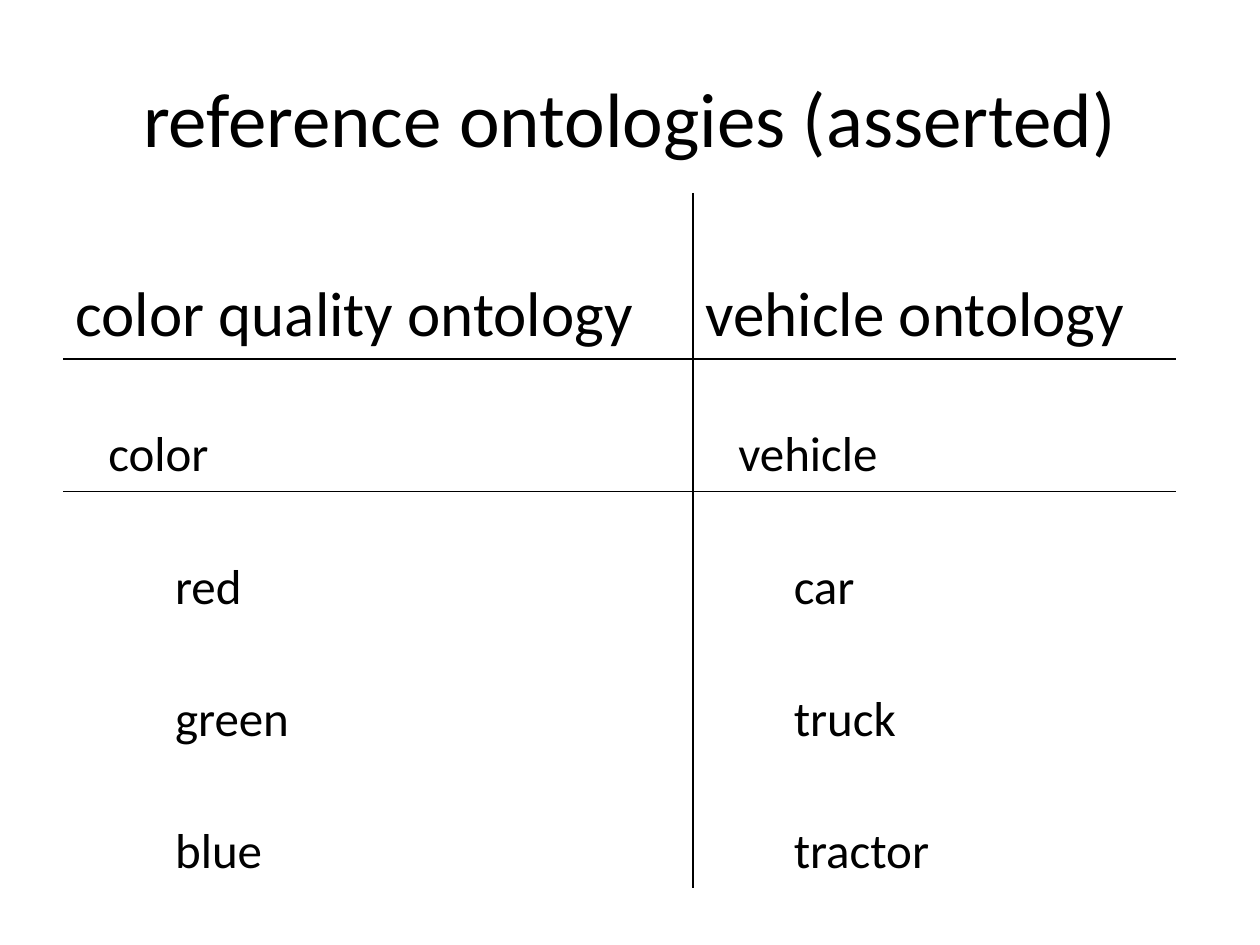
from lxml import etree
from pptx import Presentation
from pptx.dml.color import RGBColor
from pptx.enum import text as t
from pptx.oxml import ns
from pptx.util import Inches, Pt

FONT = "Calibri"
HEX = {"ink": "000000", "page": "FFFFFF"}
PLAIN = "{2D5ABB26-0587-4C30-8999-92F81FD0307C}"  # no style, no grid
COLS = [5, 3.83]
HEAD, ROW = 1.32, 1.05  # row heights
# Each column: (word, indent in inches) from the heading down
LISTS = [
    [("color quality ontology", 0), ("color", 0.26),
     ("red", 0.79), ("green", 0.79), ("blue", 0.79)],
    [("vehicle ontology", 0), ("vehicle", 0.26),
     ("car", 0.7), ("truck", 0.7), ("tractor", 0.7)],
]


def style(par, size):
    for run in par.runs:
        run.font.name = FONT
        run.font.size = Pt(size)
        run.font.color.rgb = RGBColor.from_string(HEX["ink"])


def title(slide, words, x, y, w, h):
    frame = slide.shapes.add_textbox(
        Inches(x), Inches(y), Inches(w), Inches(h)).text_frame
    frame.word_wrap = True
    frame.vertical_anchor = t.MSO_ANCHOR.MIDDLE
    frame.text = words
    par = frame.paragraphs[0]
    par.alignment = t.PP_ALIGN.CENTER
    style(par, 44)


def border(cell, sides):
    # Sides come in schema order: L, R, T, B
    props = cell._tc.get_or_add_tcPr()
    for side in sides:
        line = etree.SubElement(props, ns.qn("a:ln" + side), w=str(Pt(1)))
        fill = etree.SubElement(line, ns.qn("a:solidFill"))
        etree.SubElement(fill, ns.qn("a:srgbClr"), val=HEX["ink"])


def fill_cell(cell, word, indent, size):
    cell.margin_left = Inches(0.1 + indent)
    cell.text = word
    par = cell.text_frame.paragraphs[0]
    par.line_spacing = 2.0
    par.space_before = par.space_after = Pt(3)
    style(par, size)


def lists(slide, x, y):
    count = len(LISTS[0])
    high = HEAD + ROW * (count - 1)
    grid = slide.shapes.add_table(
        count, len(COLS), Inches(x), Inches(y),
        Inches(sum(COLS)), Inches(high)).table
    grid.first_row = grid.horz_banding = False
    grid._tbl.tblPr.find(ns.qn("a:tableStyleId")).text = PLAIN
    for col, wide in zip(grid.columns, COLS):
        col.width = Inches(wide)
    for r, row in enumerate(grid.rows):
        row.height = Inches(ROW if r else HEAD)
        for c, cell in enumerate(row.cells):
            fill_cell(cell, *LISTS[c][r], 28 if r else 36)
            # Rule between the columns and rule under the headings
            border(cell, ("L" if c else "R") + {0: "B", 1: "T"}.get(r, ""))
            cell.fill.background()


def main():
    deck = Presentation()
    deck.slide_width, deck.slide_height = Inches(10), Inches(7.5)
    slide = deck.slides.add_slide(deck.slide_layouts[6])
    back = slide.background.fill
    back.solid()
    back.fore_color.rgb = RGBColor.from_string(HEX["page"])
    title(slide, "reference ontologies (asserted)", 0.5, 0.3, 9, 1.25)
    lists(slide, 0.5, 1.53)
    deck.save("out.pptx")


if __name__ == "__main__":
    main()
